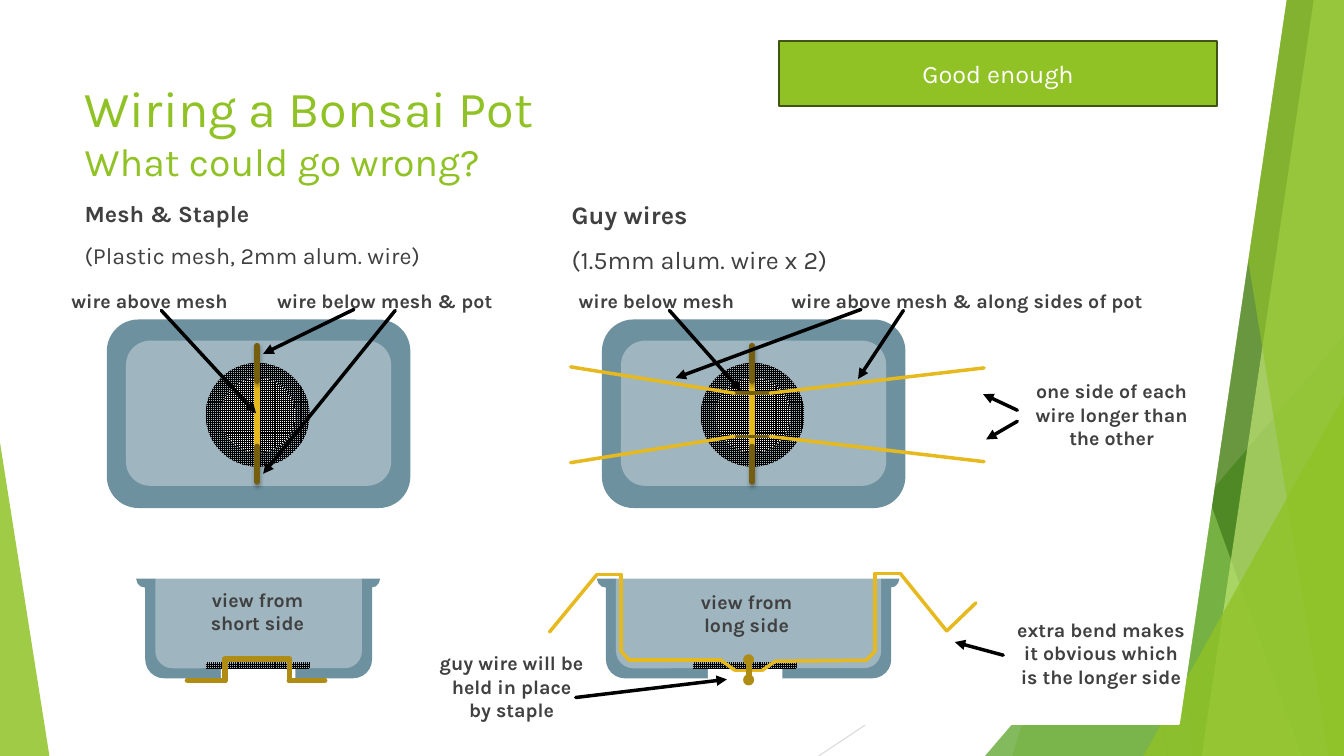
"""Build the bonsai pot wiring slide."""
from lxml import etree
from pptx import Presentation, util as u
from pptx.dml.color import RGBColor
from pptx.enum import dml, shapes, text
from pptx.oxml.ns import qn

HUES = {"lime": "90C226", "leaf": "54A021", "moss": "3F7819", "pale": "C0E474",
        "edge": "3F5511", "white": "FFFFFF", "black": "000000", "ink": "404040",
        "rim": "6E91A0", "clay": "9FB6C0", "gold": "E6B91E", "dark": "755E0D",
        "brass": "AF8C14", "gray": "BFBFBF", "mist": "D9D9D9"}
RGB = {name: RGBColor.from_string(code) for name, code in HUES.items()}
FACE = "Karla"
KIND = shapes.MSO_SHAPE

deck = Presentation()
deck.slide_width, deck.slide_height = u.Inches(13.33), u.Inches(7.5)
COL, ROW = deck.slide_width / 13.33, deck.slide_height / 7.5
slide = deck.slides.add_slide(deck.slide_layouts[4])
tree = slide.shapes


def put(kind, box, hue, alpha=100, mesh=False):
    """Add a preset shape in a grid box, or a polygon when kind is None."""
    if kind is None:
        pen = tree.build_freeform(int(box[0][0] * COL), int(box[0][1] * ROW))
        pen.add_line_segments([(int(x * COL), int(y * ROW)) for x, y in box[1:]])
        item = pen.convert_to_shape()
    else:
        x, y, w, h = box
        item = tree.add_shape(kind, int(x * COL), int(y * ROW), int(w * COL), int(h * ROW))
    item.shadow.inherit = False
    item.line.fill.background()
    if mesh:
        item.fill.patterned()
        item.fill.pattern = dml.MSO_PATTERN.SMALL_GRID
        item.fill.fore_color.rgb, item.fill.back_color.rgb = RGB["black"], RGB[hue]
    else:
        item.fill.solid()
        item.fill.fore_color.rgb = RGB[hue]
    if alpha < 100:
        tone = item.element.spPr.find(".//" + qn("a:srgbClr"))
        etree.SubElement(tone, qn("a:alpha"), val=str(alpha * 1000))
    return item


def wire(spots, hue, size, head=False, shade=False):
    """Join grid points with straight lines."""
    for (ax, ay), (bx, by) in zip(spots, spots[1:]):
        item = tree.add_connector(shapes.MSO_CONNECTOR.STRAIGHT, int(ax * COL), int(ay * ROW),
                                  int(bx * COL), int(by * ROW))
        item.line.color.rgb = RGB[hue]
        item.line.width = u.Pt(size)
        line = item.get_or_add_ln()
        line.set("cap", "rnd")
        if head:
            etree.SubElement(line, qn("a:tailEnd"), type="triangle")
        glow = etree.SubElement(item.element.spPr, qn("a:effectLst"))
        if shade:
            cast = etree.SubElement(glow, qn("a:outerShdw"), blurRad="38100",
                                    dist="25400", dir="5400000", rotWithShape="0")
            tone = etree.SubElement(cast, qn("a:srgbClr"), val=HUES["black"])
            etree.SubElement(tone, qn("a:alpha"), val="35000")


wire([(10.25, 0), (11.58, 7.5)], "gray", 0.75)
wire([(13.33, 4.03), (8.12, 7.5)], "mist", 0.75)
for top, foot, hue, alpha in [
        (12.28, 10.04, "lime", 30), (10.5, 11.83, "lime", 20), (None, 9.77, "leaf", 72),
        (10.21, 12.91, "moss", 70), (13.03, 11.92, "pale", 70), (11.96, 13.18, "lime", 65),
        (None, 11.34, "lime", 80)]:
    if top is None:
        peak = 3.33 if hue == "leaf" else 3.93
        put(KIND.ISOSCELES_TRIANGLE, (foot, peak, 13.33 - foot, 7.5 - peak),
            hue, alpha).adjustments[0] = 1
    else:
        put(None, [(top, 0), (13.33, 0), (13.33, 7.5), (foot, 7.5)], hue, alpha)
put(KIND.ISOSCELES_TRIANGLE, (0, 4.39, 0.49, 3.11), "lime", 85).adjustments[0] = 0
panel = put(KIND.PARALLELOGRAM, (7.26, -0.34, 5.54, 7.52), "white")
panel.adjustments[0] = 0.2
panel.line.color.rgb = RGB["white"]
panel.line.width = u.Pt(1.5)

slots = {p.placeholder_format.idx: p for p in slide.placeholders}
for idx in (2, 4):
    tree.element.remove(slots[idx].element)
for idx, box, words, size, hue in [
        (0, (0.74, 0.67, 11.05, 1.26), "Wiring a Bonsai Pot\vWhat could go wrong?", 36, "lime"),
        (1, (0.74, 1.93, 4.14, 0.8), "Mesh & Staple\n(Plastic mesh, 2mm alum. wire)", 16.6, "ink"),
        (3, (5.57, 1.93, 5.17, 0.79), "Guy wires\n(1.5mm alum. wire x 2)", 18, "ink")]:
    slot = slots[idx]
    tree.element.append(slot.element)
    slot.left, slot.top = int(box[0] * COL), int(box[1] * ROW)
    slot.width, slot.height = int(box[2] * COL), int(box[3] * ROW)
    frame = slot.text_frame
    frame.text = words
    frame.auto_size = text.MSO_AUTO_SIZE.NONE
    frame.vertical_anchor = text.MSO_ANCHOR.TOP if idx else text.MSO_ANCHOR.MIDDLE
    for num, para in enumerate(frame.paragraphs):
        para.alignment = text.PP_ALIGN.LEFT
        para.space_before = u.Pt(10 if idx else 0)
        para.font.name, para.font.size = FACE, u.Pt(size)
        para.font.bold = idx > 0 and num == 0
        para.font.color.rgb = RGB[hue]
slots[0].text_frame.paragraphs[0].runs[1].font.size = u.Pt(28)

for x in (1.06, 5.97):
    put(KIND.ROUNDED_RECTANGLE, (x, 3.17, 3.01, 1.87), "rim")
    put(KIND.ROUNDED_RECTANGLE, (x + 0.19, 3.38, 2.63, 1.44), "clay")
    put(KIND.OVAL, (x + 0.98, 3.6, 1.03, 1.03), "clay", mesh=True)
    put(KIND.OVAL, (x + 1.13, 3.75, 0.74, 0.74), "white", mesh=True)
    for top, foot, hue in [(3.75, 4.49, "gold"), (4.43, 4.78, "dark"), (3.43, 3.78, "dark")]:
        wire([(x + 1.49, top), (x + 1.49, foot)], hue, 4, shade=True)

for x, w, mid in [(1.44, 2.25, 2.56), (6.01, 2.83, 7.39)]:
    put(KIND.ROUNDED_RECTANGLE, (x, 5.6, w, 1.13), "rim")
    put(KIND.ROUNDED_RECTANGLE, (x + 0.1, 5.6, w - 0.2, 1.03), "clay")
    for lip in (x - 0.09, x + w - 0.1):
        put(KIND.OVAL, (lip, 5.65, 0.18, 0.18), "rim")
    put(KIND.RECTANGLE, (x - 0.15, 5.56, w + 0.3, 0.18), "white")
    put(KIND.RECTANGLE, (mid - 0.37, 6.63, 0.74, 0.13), "white")
    put(KIND.RECTANGLE, (mid - 0.52, 6.57, 1.03, 0.06), "clay", mesh=True)

wire([(1.86, 6.75), (2.23, 6.75), (2.23, 6.54), (2.87, 6.54), (2.87, 6.75), (3.22, 6.75)],
     "brass", 4)
for far, near, end in [(3.64, 3.9, 3.65), (4.59, 4.33, 4.58)]:
    wire([(7.28, near), (7.64, near)], "dark", 2.5)
    wire([(5.66, far), (7.28, near)], "gold", 2.5)
    wire([(9.76, end), (7.64, near)], "gold", 2.5)
wire([(5.45, 6.27), (5.92, 5.7), (6.16, 5.7), (6.16, 6.46), (6.24, 6.55), (7.15, 6.55),
      (7.29, 6.65), (7.56, 6.65), (7.69, 6.56), (8.59, 6.55), (8.68, 6.46), (8.68, 5.69),
      (8.93, 5.69), (9.39, 6.26), (9.68, 5.98)], "gold", 2.5)
for y in (6.49, 6.69):
    put(KIND.OVAL, (7.37, y, 0.11, 0.11), "brass")
wire([(7.43, 6.74), (7.43, 6.54)], "brass", 4)

for ends in [
        [(1.6, 3.08), (2.54, 4.1)], [(3.51, 3.07), (2.61, 3.51)], [(3.92, 3.08), (2.61, 4.7)],
        [(6.64, 3.08), (7.35, 3.88)], [(8.54, 3.07), (6.7, 3.75)], [(8.96, 3.08), (8.51, 3.76)],
        [(10.09, 4.07), (9.75, 3.91)], [(10.09, 4.18), (9.78, 4.36)],
        [(9.95, 6.5), (9.47, 6.37)], [(5.71, 6.92), (7.21, 6.74)]]:
    wire(ends, "black", 2.5, head=True)

LEFT, MID = text.PP_ALIGN.LEFT, text.PP_ALIGN.CENTER
for words, x, y, w, h, side in [
        ("wire above mesh", 0.61, 2.82, 2.47, 0.46, LEFT),
        ("wire below mesh & pot", 2.65, 2.82, 2.47, 0.46, LEFT),
        ("wire below mesh", 5.64, 2.82, 2.47, 0.46, LEFT),
        ("wire above mesh & along sides of pot", 7.75, 2.82, 3.94, 0.46, LEFT),
        ("one side of each wire longer than the other", 10.15, 3.71, 1.75, 0.78, MID),
        ("extra bend makes it obvious which is the longer side", 9.95, 6.08, 1.94, 1.41, MID),
        ("guy wire will be held in place by staple", 4.26, 6.41, 1.63, 0.91, MID),
        ("view from short side", 1.97, 5.78, 1.17, 0.91, MID),
        ("view from long side", 6.82, 5.8, 1.17, 0.91, MID)]:
    note = tree.add_textbox(int(x * COL), int(y * ROW), int(w * COL), int(h * ROW))
    note.text_frame.word_wrap = True
    note.text_frame.text = words
    para = note.text_frame.paragraphs[0]
    para.alignment, para.space_before = side, u.Pt(10)
    para.font.name, para.font.size, para.font.bold = FACE, u.Pt(14), True
    para.font.color.rgb = RGB["ink"]

badge = put(KIND.RECTANGLE, (7.73, 0.41, 4.34, 0.64), "lime")
badge.line.color.rgb = RGB["edge"]
badge.line.width = u.Pt(1.5)
badge.text_frame.text = "Good enough"
badge.text_frame.vertical_anchor = text.MSO_ANCHOR.MIDDLE
para = badge.text_frame.paragraphs[0]
para.alignment = MID
para.font.name, para.font.size = FACE, u.Pt(18)
para.font.color.rgb = RGB["white"]

deck.save("out.pptx")
